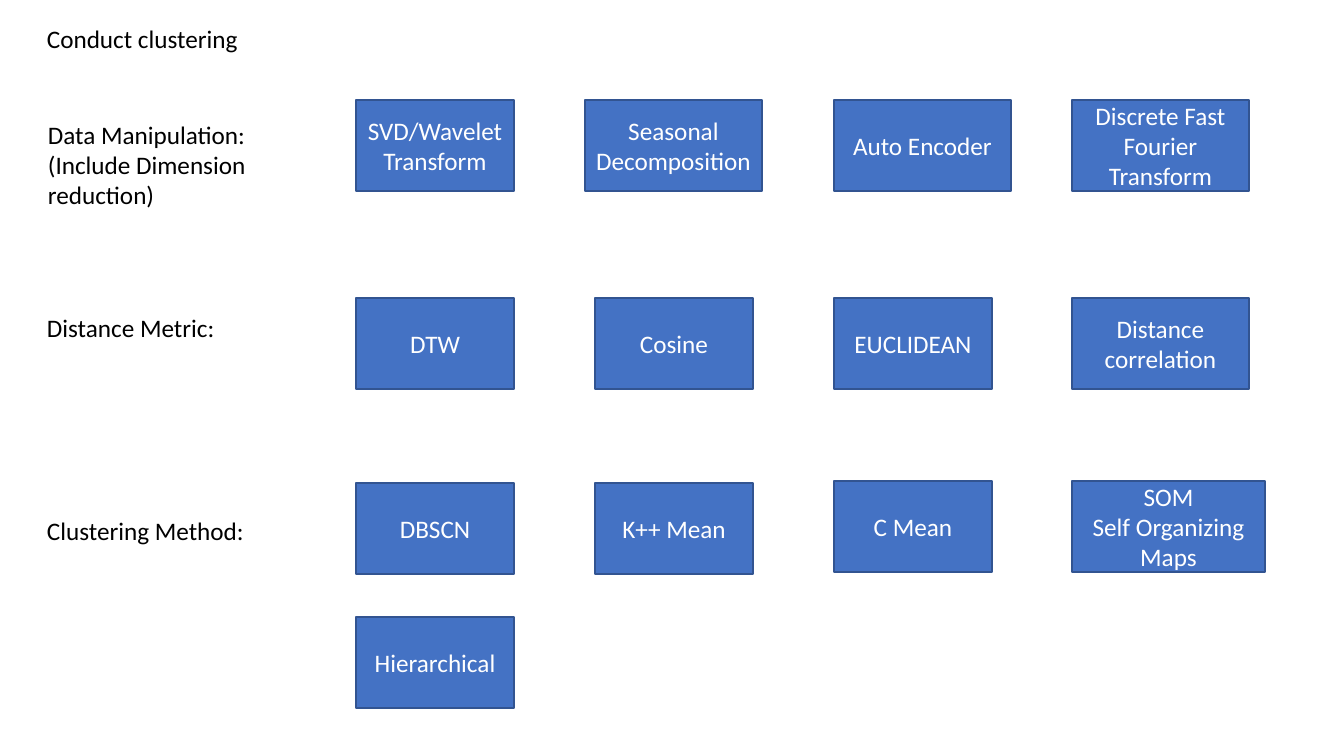
from dataclasses import dataclass

from pptx import Presentation
from pptx.dml.color import RGBColor
from pptx.enum.shapes import MSO_SHAPE
from pptx.enum.text import MSO_ANCHOR, MSO_AUTO_SIZE, PP_ALIGN
from pptx.util import Emu, Pt

RECTANGLE = MSO_SHAPE.RECTANGLE
MIDDLE, TOP = MSO_ANCHOR.MIDDLE, MSO_ANCHOR.TOP
CENTER, LEFT = PP_ALIGN.CENTER, PP_ALIGN.LEFT
GROW = MSO_AUTO_SIZE.SHAPE_TO_FIT_TEXT

EMU_PER_PX = 914400 / 100.8
FONT, FONT_SIZE = "Calibri", 18
BLUE, DARK_BLUE, WHITE, BLACK = "4472C4", "325491", "FFFFFF", "000000"

COLUMNS = (356, 595, 834, 1072)
MANIPULATION_TOP, METRIC_TOP, METHOD_TOP, EXTRA_METHOD_TOP = 100, 298, 483, 617
NARROW, WIDE, WIDEST = 158, 177, 193
OPTION_HEIGHT = 91


@dataclass(frozen=True)
class Label:
    left: int
    top: int
    width: int
    height: int
    lines: tuple[str, ...]


@dataclass(frozen=True)
class Option:
    column: int
    top: int
    lines: tuple[str, ...]
    width: int = NARROW
    shift: int = 0


LABELS = (
    Label(37, 18, 1265, 40, ("Conduct clustering",)),
    Label(38, 114, 259, 102, ("Data Manipulation:", "(Include Dimension reduction)")),
    Label(37, 307, 196, 35, ("Distance Metric:",)),
    Label(37, 510, 221, 35, ("Clustering Method:",)),
)

OPTIONS = (
    Option(0, MANIPULATION_TOP, ("SVD/Wavelet Transform",)),
    Option(1, MANIPULATION_TOP, ("Seasonal Decomposition",), WIDE, (NARROW - WIDE) // 2),
    Option(2, MANIPULATION_TOP, ("Auto Encoder",), WIDE),
    Option(3, MANIPULATION_TOP, ("Discrete Fast Fourier Transform",), WIDE),
    Option(0, METRIC_TOP, ("DTW",)),
    Option(1, METRIC_TOP, ("Cosine",)),
    Option(2, METRIC_TOP, ("EUCLIDEAN",)),
    Option(3, METRIC_TOP, ("Distance correlation",), WIDE),
    Option(0, METHOD_TOP, ("DBSCN",)),
    Option(1, METHOD_TOP, ("K++ Mean",)),
    Option(2, METHOD_TOP - 2, ("C Mean",)),
    Option(3, METHOD_TOP - 2, ("SOM", "Self Organizing Maps"), WIDEST),
    Option(0, EXTRA_METHOD_TOP, ("Hierarchical",)),
)


def px(length: int) -> Emu:
    return Emu(round(length * EMU_PER_PX))


def rgb(value: str) -> RGBColor:
    return RGBColor.from_string(value)


def write_lines(frame, lines: tuple[str, ...], color: str, align, anchor) -> None:
    frame.word_wrap = True
    frame.vertical_anchor = anchor
    for index, line in enumerate(lines):
        paragraph = frame.paragraphs[0] if index == 0 else frame.add_paragraph()
        paragraph.alignment = align
        run = paragraph.add_run()
        run.text = line
        run.font.name = FONT
        run.font.size = Pt(FONT_SIZE)
        run.font.color.rgb = rgb(color)


def draw_label(slide, label: Label) -> None:
    box = slide.shapes.add_textbox(
        px(label.left), px(label.top), px(label.width), px(label.height))
    write_lines(box.text_frame, label.lines, BLACK, LEFT, TOP)
    box.text_frame.auto_size = GROW


def draw_option(slide, option: Option) -> None:
    left = COLUMNS[option.column] + option.shift
    box = slide.shapes.add_shape(
        RECTANGLE, px(left), px(option.top), px(option.width), px(OPTION_HEIGHT))
    box.shadow.inherit = False
    box.fill.solid()
    box.fill.fore_color.rgb = rgb(BLUE)
    box.line.color.rgb = rgb(DARK_BLUE)
    box.line.width = Pt(1)
    write_lines(box.text_frame, option.lines, WHITE, CENTER, MIDDLE)


presentation = Presentation()
presentation.slide_width, presentation.slide_height = px(1344), px(756)
clustering = presentation.slides.add_slide(presentation.slide_layouts[6])

# Heading and row labels
for row_label in LABELS:
    draw_label(clustering, row_label)

# Choices in each row
for choice in OPTIONS:
    draw_option(clustering, choice)

presentation.save("out.pptx")
